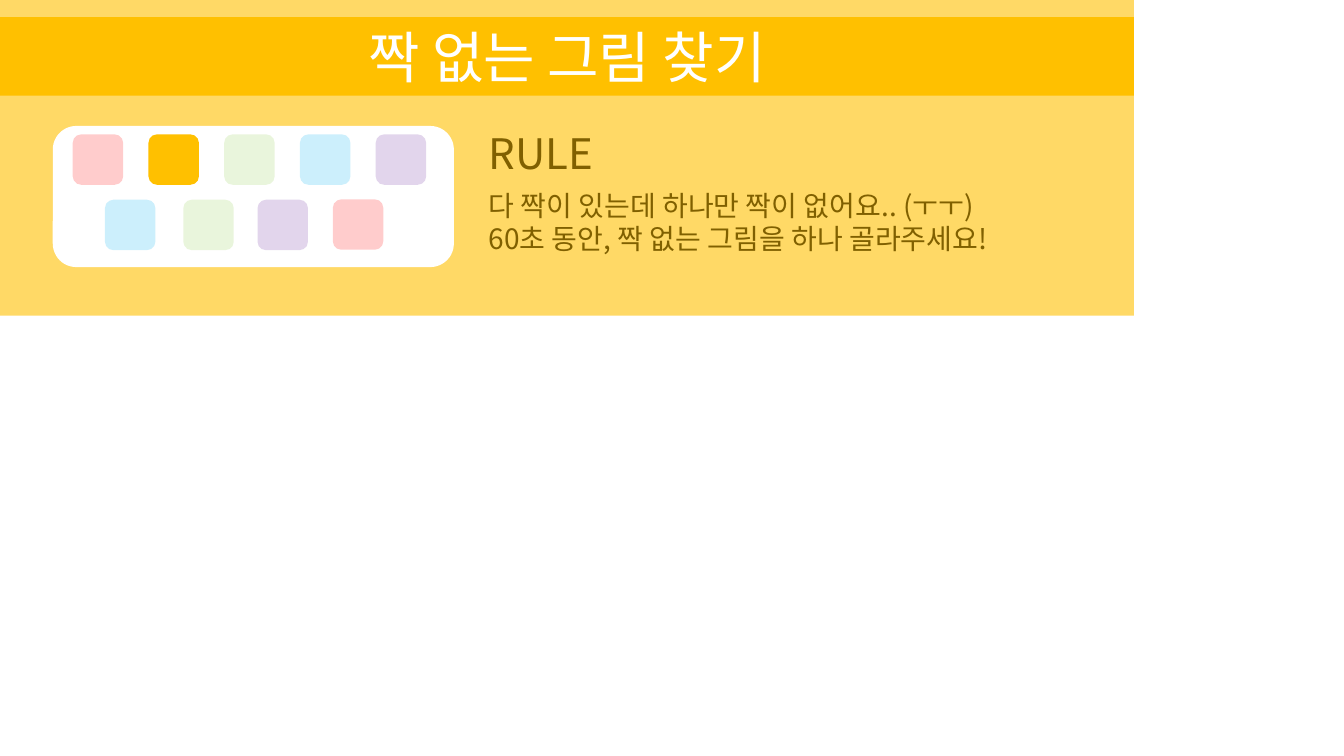
from pptx import Presentation
from pptx.dml.color import RGBColor
from pptx.enum import shapes, text
from pptx.oxml.ns import qn
from pptx.util import Pt
from lxml import etree

theme = {
    "font": "Noto Sans CJK KR",
    "head": 40, "rule": 30, "body": 20,
    "sand": "FFD966", "gold": "FFC000", "white": "FFFFFF", "brown": "806000",
    "red": "FF0000", "green": "92D050", "blue": "00B0F0", "plum": "7030A0",
}
RECT = shapes.MSO_SHAPE.RECTANGLE
ROUND = shapes.MSO_SHAPE.ROUNDED_RECTANGLE

deck = Presentation()
deck.slide_width, deck.slide_height = Pt(960), Pt(540)
slide = deck.slides.add_slide(deck.slide_layouts[6])


def block(kind, box, tone, alpha=100):
    """Add a borderless filled shape, with alpha in percent."""
    shape = slide.shapes.add_shape(kind, *map(Pt, box))
    shape.shadow.inherit = False
    shape.line.fill.background()
    shape.fill.solid()
    shape.fill.fore_color.rgb = RGBColor.from_string(theme[tone])
    if alpha < 100:
        color = shape.fill._xPr.find(qn("a:solidFill"))[0]
        etree.SubElement(color, qn("a:alpha"), val=str(alpha * 1000))
    return shape


def write(shape, words, size, tone, align):
    """Set the words of a shape and format every run."""
    frame = shape.text_frame
    frame.word_wrap = True
    frame.text = words
    for para in frame.paragraphs:
        para.alignment = align
        for run in para.runs:
            run.font.size = Pt(theme[size])
            run.font.name = theme["font"]
            run.font.color.rgb = RGBColor.from_string(theme[tone])
            etree.SubElement(run.font._element, qn("a:ea"), typeface=theme["font"])


block(RECT, (0, -0.5, 810, 226), "sand")

rules = [
    ((342, 87.8, 126, 44), "RULE", "rule"),
    ((342, 131, 468, 55.5),
     "다 짝이 있는데 하나만 짝이 없어요.. (ㅜㅜ)\n"
     "60초 동안, 짝 없는 그림을 하나 골라주세요!", "body"),
]
for box, words, size in rules:
    note = slide.shapes.add_textbox(*map(Pt, box))
    write(note, words, size, "brown", text.PP_ALIGN.JUSTIFY)
    note.text_frame.auto_size = text.MSO_AUTO_SIZE.SHAPE_TO_FIT_TEXT

head = block(RECT, (0, 12.2, 810, 56.2), "gold")
write(head, "짝 없는 그림 찾기", "head", "white", text.PP_ALIGN.CENTER)
head.text_frame.vertical_anchor = text.MSO_ANCHOR.MIDDLE

block(ROUND, (37.7, 90, 286.5, 100.8), "white")

# Gold is the only card without a partner in the lower row.
side = 36
upper = ["red", "gold", "green", "blue", "plum"]
cards = [(tone, 52 + 54.1 * i, 96) for i, tone in enumerate(upper)]
cards += [("blue", 75, 142.7), ("green", 131, 142.7),
          ("plum", 184, 142.7), ("red", 237.8, 142.4)]
for tone, left, top in cards:
    block(ROUND, (left, top, side, side), tone, 100 if tone == "gold" else 20)

deck.save("out.pptx")
